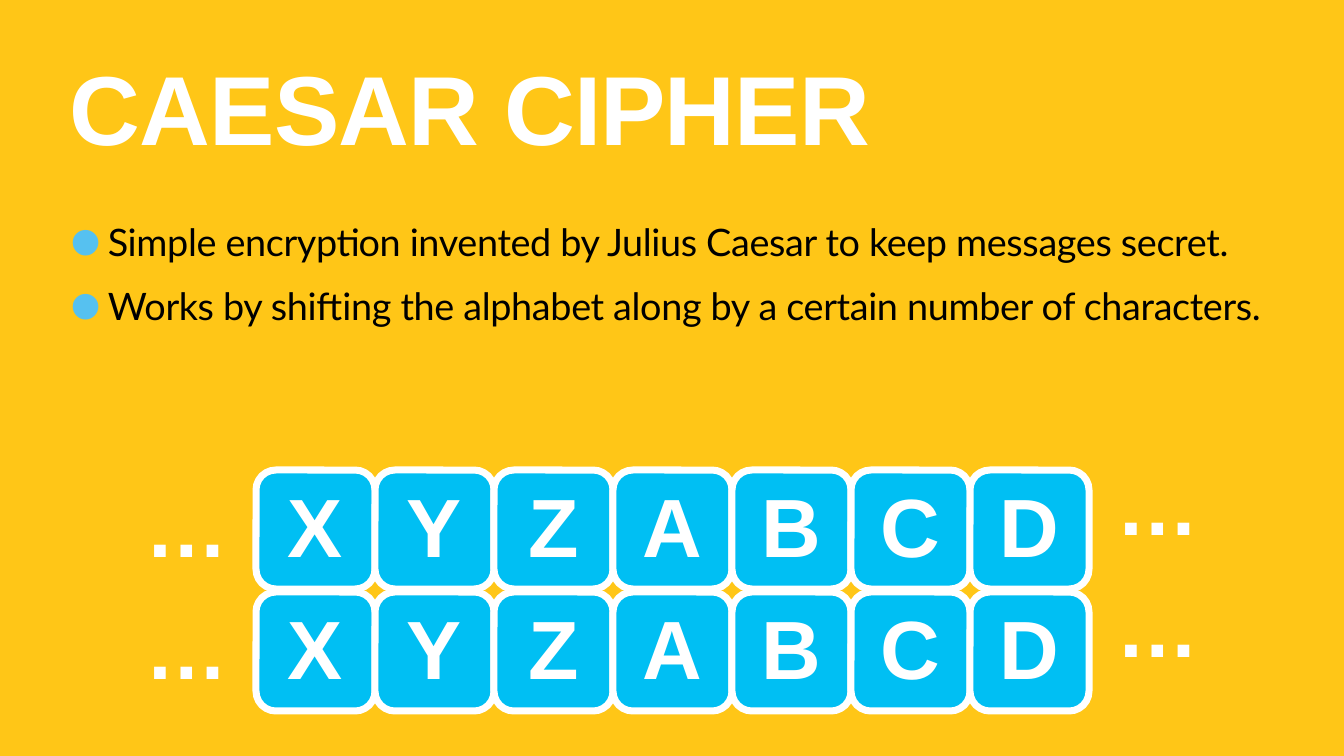
"""Build the Caesar cipher slide with two rows of letter tiles."""
from pptx import Presentation, util as u
from pptx.dml.color import RGBColor
from pptx.enum import shapes, text
from pptx.oxml import parse_xml
from pptx.oxml.ns import nsdecls

TITLE = "CAESAR CIPHER"
POINTS = [
    "Simple encryption invented by Julius Caesar to keep messages secret.",
    "Works by shifting the alphabet along by a certain number of characters.",
]
LETTERS = "XYZABCD"
WHITE, BLACK, YELLOW, BLUE, BULLET = "FFFFFF", "000000", "FFC617", "00BFF3", "56C1F0"

SCALE = u.Inches(1) / 50.4
TILE = 119
TILES_LEFT = 256
LETTER_HEIGHT = 92
ROW_TOPS = (470, 592)
DOTS = [(127, 18), (1098, -4)]
HEADING = dict(font="Arial", color=WHITE, bold=True, tracking=-140, spacing=0.8)
LETTER = dict(HEADING, size=118, align=text.PP_ALIGN.CENTER,
              anchor=text.MSO_ANCHOR.MIDDLE)


def emu(pixels):
    return round(pixels * SCALE)


def rgb(value):
    return RGBColor.from_string(value)


def add_bullet(para):
    props = para._p.get_or_add_pPr()
    props.set("marL", str(u.Inches(0.75)))
    props.set("indent", str(-u.Inches(0.75)))
    for tag in (f'<a:buClr {nsdecls("a")}><a:srgbClr val="{BULLET}"/></a:buClr>',
                f'<a:buSzPct {nsdecls("a")} val="250000"/>',
                f'<a:buFont {nsdecls("a")} typeface="Arial"/>',
                f'<a:buChar {nsdecls("a")} char="•"/>'):
        props.append(parse_xml(tag))


def add_text(parent, lines, area, size, font, color, bold=False, tracking=0,
             spacing=1, align=text.PP_ALIGN.LEFT, anchor=text.MSO_ANCHOR.TOP,
             bullets=False):
    box = parent.add_textbox(*map(emu, area))
    frame = box.text_frame
    frame.word_wrap = True
    frame.vertical_anchor = anchor
    frame.margin_left = frame.margin_right = emu(3)
    frame.margin_top = frame.margin_bottom = emu(3)
    for index, line in enumerate(lines):
        para = frame.add_paragraph() if index else frame.paragraphs[0]
        para.alignment, para.line_spacing = align, spacing
        if bullets:
            add_bullet(para)
        span = para.add_run()
        span.text = line
        span.font.size, span.font.name, span.font.bold = u.Pt(size), font, bold
        span.font.color.rgb = rgb(color)
        span._r.get_or_add_rPr().set("spc", str(tracking))


def add_tile(parent, left, top):
    tile = parent.add_shape(shapes.MSO_SHAPE.ROUNDED_RECTANGLE,
                            *map(emu, (left, top, TILE, TILE)))
    tile.shadow.inherit = False
    tile.fill.solid()
    tile.fill.fore_color.rgb = rgb(BLUE)
    tile.line.color.rgb = rgb(WHITE)
    tile.line.width = u.Pt(10)


def add_row(page, top):
    row = page.shapes.add_group_shape().shapes
    lefts = [TILES_LEFT + TILE * index for index in range(len(LETTERS))]
    for left in lefts:
        add_tile(row, left, top)
    labels = [(letter, left, 18) for letter, left in zip(LETTERS, lefts)]
    labels += [("…", left, shift) for left, shift in DOTS]
    for label, left, shift in labels:
        add_text(row, [label], (left, top + shift, TILE, LETTER_HEIGHT), **LETTER)


deck = Presentation()
deck.slide_width, deck.slide_height = emu(1344), emu(756)
page = deck.slides.add_slide(deck.slide_layouts[6])
page.background.fill.solid()
page.background.fill.fore_color.rgb = rgb(YELLOW)

add_text(page.shapes, [TITLE], (67, 67, 1210, 127), size=140, **HEADING)
add_text(page.shapes, POINTS, (67, 198, 1210, 272), size=54, font="Lato",
         color=BLACK, tracking=-50, spacing=1.4, bullets=True)
for top in ROW_TOPS:
    add_row(page, top)
deck.save("out.pptx")
